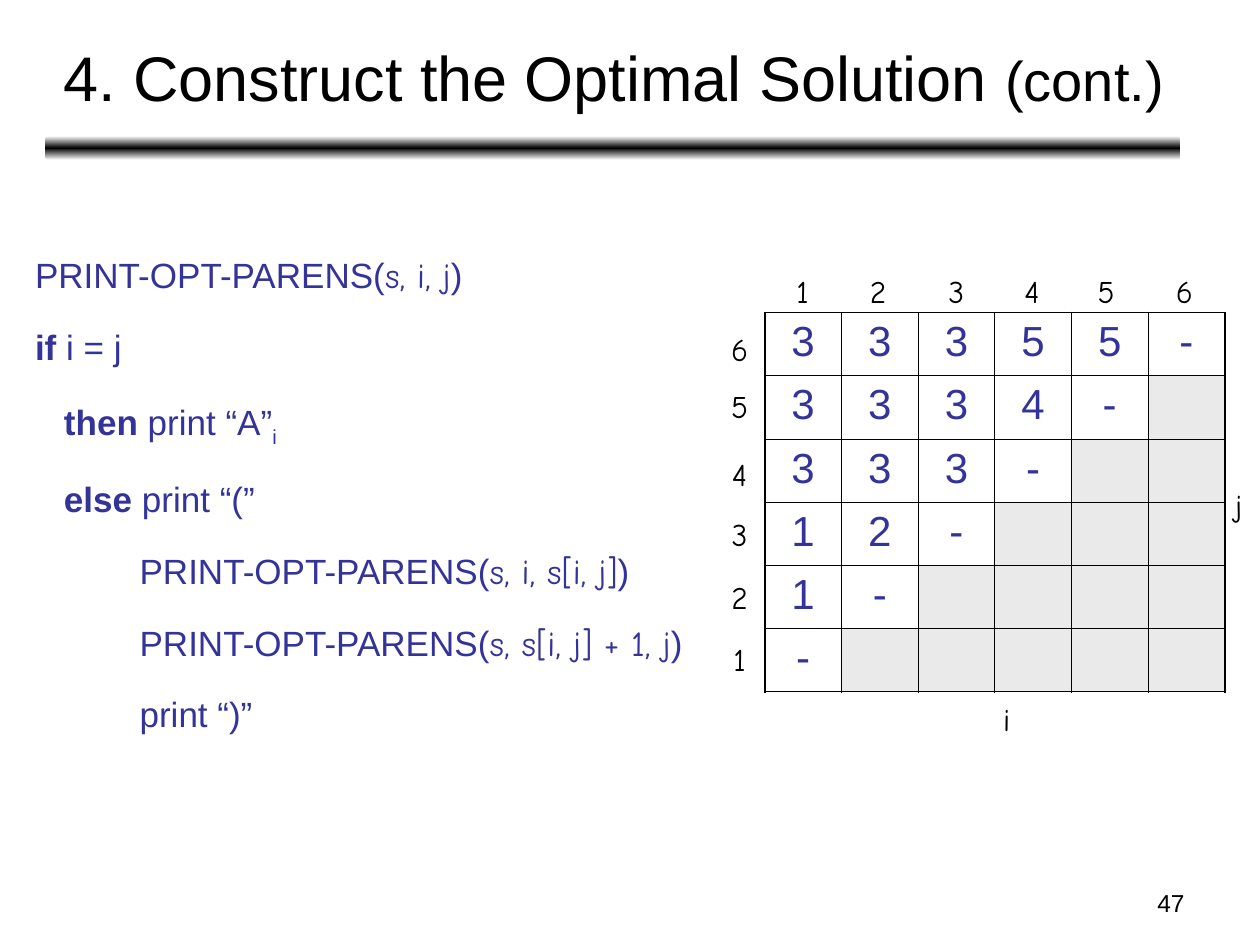
from lxml import etree
from copy import deepcopy
from pptx import Presentation
from pptx.dml.color import RGBColor
from pptx.enum.shapes import MSO_SHAPE
from pptx.enum.text import MSO_ANCHOR, MSO_AUTO_SIZE, PP_ALIGN
from pptx.oxml.ns import qn
from pptx.util import Inches, Pt

ROUNDED = MSO_SHAPE.ROUNDED_RECTANGLE
MIDDLE = MSO_ANCHOR.MIDDLE
NO_FIT = MSO_AUTO_SIZE.NONE
LEFT, CENTER, RIGHT = PP_ALIGN.LEFT, PP_ALIGN.CENTER, PP_ALIGN.RIGHT

COLORS = {"ink": "000000", "code": "333399", "paper": "FFFFFF", "unused": "EAEAEA"}
SANS, HAND = "Arial", "Comic Neue"
THIN, THICK = 0.45, 1.08

SPLITS = ["33355-", "3334-", "333-", "12-", "1-", "-"]
COLUMN_CENTERS = [6.37, 6.97, 7.59, 8.19, 8.78, 9.4]
ROW_CENTERS = [2.77, 3.22, 3.76, 4.24, 4.74, 5.23]
LABEL_SIZE = 0.4

CALL = "PRINT-OPT-PARENS("
PLAIN, ARGS, BOLD, SUB = {}, {"name": HAND}, {"bold": True}, {"sub": True}
CODE = [
    (0, [(CALL, PLAIN), ("s, i, j", ARGS), (")", PLAIN)]),
    (0, [("if", BOLD), (" i = j", PLAIN)]),
    (0.23, [("then", BOLD), (" print “A”", PLAIN), ("i", SUB)]),
    (0.23, [("else", BOLD), (" print “(”", PLAIN)]),
    (0.83, [(CALL, PLAIN), ("s, i, s[i, j]", ARGS), (")", PLAIN)]),
    (0.83, [(CALL, PLAIN), ("s, s[i, j] + 1, j", ARGS), (")", PLAIN)]),
    (0.83, [("print “)”", PLAIN)]),
]


def rgb(color):
    return RGBColor.from_string(COLORS[color])


def place(shape, box):
    for name, value in zip(("left", "top", "width", "height"), box):
        setattr(shape, name, Inches(value))


def add_span(para, text, size, color="ink", name=SANS, bold=False, sub=False):
    span = para.add_run()
    span.text = text
    for key, value in {"name": name, "size": Pt(size), "bold": bold}.items():
        setattr(span.font, key, value)
    span.font.color.rgb = rgb(color)
    if sub:
        span.font._element.set("baseline", "-25000")


def add_text(page, box, text, size, align, name=SANS):
    frame = page.shapes.add_textbox(*map(Inches, box)).text_frame
    frame.word_wrap = True
    frame.paragraphs[0].alignment = align
    add_span(frame.paragraphs[0], text, size, name=name)


def add_title(page, box):
    title = page.shapes.title
    place(title, box)
    frame = title.text_frame
    for key, value in {"auto_size": NO_FIT, "vertical_anchor": MIDDLE, "word_wrap": True}.items():
        setattr(frame, key, value)
    para = frame.paragraphs[0]
    para.alignment = CENTER
    add_span(para, "4. Construct the Optimal Solution ", 36)
    add_span(para, "(cont.)", 32)


def add_rule(page, box):
    rule = page.shapes.add_shape(ROUNDED, *map(Inches, box))
    rule.shadow.inherit = False
    rule.line.fill.background()
    rule.fill.gradient()
    rule.fill.gradient_angle = 90
    stop_list = rule._element.spPr.find(".//" + qn("a:gsLst"))
    stop_list.insert(1, deepcopy(stop_list[0]))
    stops = zip(rule.fill.gradient_stops, (0, 0.5, 1), ("paper", "ink", "paper"))
    for stop, position, color in stops:
        stop.position = position
        stop.color.rgb = rgb(color)


def add_borders(cell, widths):
    properties = cell._tc.get_or_add_tcPr()
    for index, (side, width) in enumerate(widths.items()):
        line = etree.Element(qn("a:ln" + side), w=str(Pt(width)))
        fill = etree.SubElement(line, qn("a:solidFill"))
        etree.SubElement(fill, qn("a:srgbClr"), val=COLORS["ink"])
        properties.insert(index, line)


def add_split_table(page, box):
    count = len(SPLITS)
    table = page.shapes.add_table(count, count, *map(Inches, box)).table
    table.first_row = table.horz_banding = False
    for index in range(count):
        table.columns[index].width = Inches(box[2] / count)
        table.rows[index].height = Inches(box[3] / count)
    last = count - 1
    for row, values in enumerate(SPLITS):
        for column in range(count):
            cell = table.cell(row, column)
            used = column < len(values)
            cell.fill.solid()
            cell.fill.fore_color.rgb = rgb("paper" if used else "unused")
            edges = {"L": column == 0, "R": column == last, "T": row == 0, "B": row == last}
            add_borders(cell, {side: THICK if outer else THIN for side, outer in edges.items()})
            if used:
                para = cell.text_frame.paragraphs[0]
                para.alignment = CENTER
                para.space_before = Pt(6)
                add_span(para, values[column], 24, "code")


def add_axis_labels(page):
    marks = [(str(number), x, 2.31) for number, x in enumerate(COLUMN_CENTERS, 1)]
    marks += [(str(6 - index), 5.87, y) for index, y in enumerate(ROW_CENTERS)]
    marks += [("i", 7.99, 5.71), ("j", 9.83, 4.01)]
    for text, x, y in marks:
        box = (x - LABEL_SIZE / 2, y - LABEL_SIZE / 2, LABEL_SIZE, LABEL_SIZE)
        add_text(page, box, text, 18, CENTER, HAND)


def add_code(page, box):
    frame = page.shapes.add_textbox(*map(Inches, box)).text_frame
    frame.word_wrap = True
    for index, (indent, spans) in enumerate(CODE):
        para = frame.add_paragraph() if index else frame.paragraphs[0]
        for key, value in {"alignment": LEFT, "line_spacing": 1.5, "space_before": Pt(5)}.items():
            setattr(para, key, value)
        para._p.get_or_add_pPr().set("marL", str(Inches(indent)))
        for text, style in spans:
            add_span(para, text, 20, "code", **style)


def main():
    deck = Presentation()
    deck.slide_width, deck.slide_height = Inches(10), Inches(7.5)
    page = deck.slides.add_slide(deck.slide_layouts[5])
    add_rule(page, (0.36, 1.08, 9.01, 0.19))
    add_text(page, (7.17, 7, 2.33, 0.35), "47", 14, RIGHT)
    add_title(page, (0.37, 0.11, 9, 0.99))
    add_split_table(page, (6.07, 2.48, 3.65, 3.01))
    add_axis_labels(page)
    add_code(page, (0.18, 1.8, 8, 5.23))
    deck.save("out.pptx")


if __name__ == "__main__":
    main()
